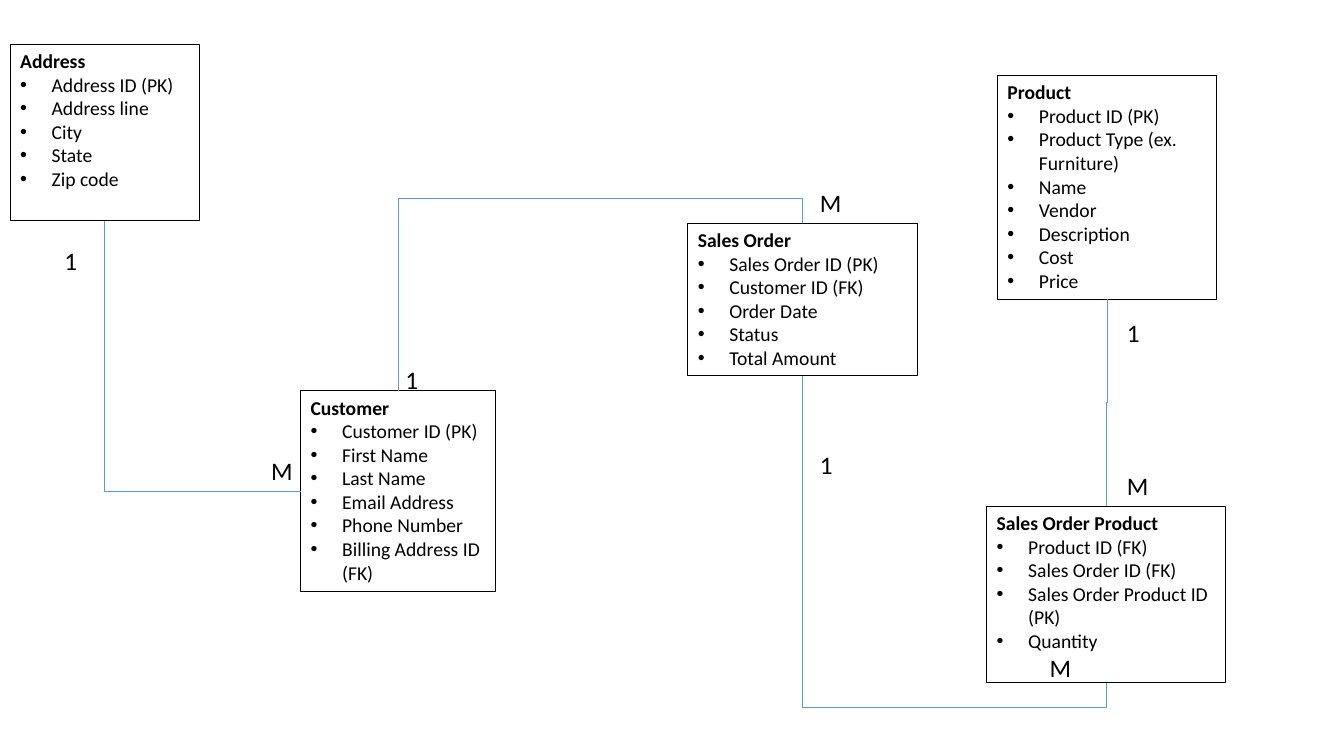
from lxml import etree
from pptx import Presentation
from pptx import util as u
from pptx.dml.color import RGBColor
from pptx.enum import shapes, text
from pptx.oxml.ns import qn

BLACK = RGBColor(0, 0, 0)
BLUE = RGBColor(0x5B, 0x9B, 0xD5)
WIDE, HIGH = u.Inches(13.333), u.Inches(7.5)
TOP, LEFT, BOTTOM = 0, 1, 2

TABLES = {
    "Customer": ((22.37, 51.69, 14.52, 26.53), [
        "Customer ID (PK)", "First Name", "Last Name", "Email Address",
        "Phone Number", "Billing Address ID (FK)"]),
    "Sales Order": ((51.18, 29.53, 17.1, 20.17), [
        "Sales Order ID (PK)", "Customer ID (FK)", "Order Date", "Status",
        "Total Amount"]),
    "Sales Order Product": ((73.42, 66.95, 17.78, 23.33), [
        "Product ID (FK)", "Sales Order ID (FK)",
        "Sales Order Product ID (PK)", "Quantity"]),
    "Product": ((74.22, 9.97, 16.3, 29.6), [
        "Product ID (PK)", "Product Type (ex. Furniture)", "Name", "Vendor",
        "Description", "Cost", "Price"]),
    "Address": ((0.76, 5.85, 14.07, 23.37), [
        "Address ID (PK)", "Address line", "City", "State", "Zip code"]),
}

LINKS = [
    ("Address", BOTTOM, "Customer", LEFT, 270, "H", "bentConnector2", None),
    ("Customer", TOP, "Sales Order", TOP, 90, "HV", "bentConnector3", 1.15),
    ("Sales Order Product", BOTTOM, "Sales Order", BOTTOM, 90, "H",
     "bentConnector3", -0.08),
    ("Product", BOTTOM, "Sales Order Product", TOP, 90, "",
     "bentConnector3", 0.5),
]

MARKS = [
    ("1", 60.26, 58.84), ("M", 19.43, 59.51), ("1", 29.43, 47.47),
    ("1", 4.05, 31.73), ("M", 77.36, 85.6), ("M", 60.26, 24.13),
    ("1", 83.1, 41.33), ("M", 83.1, 61.6),
]


def place(x, y, w, h):
    return [round(share * size / 100)
            for share, size in zip((x, y, w, h), (WIDE, HIGH) * 2)]


def write(para, words, size, bold=False):
    para.text = words
    para.alignment = text.PP_ALIGN.LEFT
    font = para.font
    font.name, font.size, font.bold = "Calibri", u.Pt(size), bold
    font.color.rgb = BLACK


def bullet(para):
    props = para._p.get_or_add_pPr()
    props.set("marL", str(u.Pt(22.5)))
    props.set("indent", str(-u.Pt(22.5)))
    font = etree.Element(qn("a:buFont"), typeface="Arial")
    char = etree.Element(qn("a:buChar"), char="•")
    props.insert(0, font)
    props.insert(1, char)


def draw_table(slide, box, title, fields):
    card = slide.shapes.add_shape(shapes.MSO_SHAPE.RECTANGLE, *place(*box))
    card.shadow.inherit = False
    card.fill.background()
    card.line.color.rgb = BLACK
    card.line.width = u.Pt(0.75)
    frame = card.text_frame
    frame.word_wrap = True
    frame.vertical_anchor = text.MSO_ANCHOR.TOP
    write(frame.paragraphs[0], title, 14, True)
    for field in fields:
        para = frame.add_paragraph()
        write(para, field, 14)
        bullet(para)
    return card


def draw_link(slide, start, exit, end, entry, turn, flips, bend, reach):
    link = slide.shapes.add_connector(shapes.MSO_CONNECTOR.ELBOW, 0, 0, 0, 0)
    link.begin_connect(start, exit)
    link.end_connect(end, entry)
    x1, y1, x2, y2 = link.begin_x, link.begin_y, link.end_x, link.end_y
    wide, high = abs(y2 - y1), abs(x2 - x1)
    link.left, link.top = (x1 + x2 - wide) // 2, (y1 + y2 - high) // 2
    link.width, link.height = wide, high
    link.line.color.rgb = BLUE
    link.line.width = u.Pt(0.5)
    props = link._element.spPr
    frame = props.find(qn("a:xfrm"))
    frame.set("rot", str(turn * 60000))
    for axis in "HV":
        frame.set("flip" + axis, str(int(axis in flips)))
    shape = props.find(qn("a:prstGeom"))
    shape.set("prst", bend)
    if reach is not None:
        etree.SubElement(shape.find(qn("a:avLst")), qn("a:gd"), name="adj1",
                         fmla=f"val {round(reach * 100000)}")
    etree.SubElement(props, qn("a:effectLst"))


def draw_mark(slide, sign, x, y):
    frame = slide.shapes.add_textbox(*place(x, y, 2.4, 5.33)).text_frame
    frame.word_wrap = True
    write(frame.paragraphs[0], sign, 18)


def draw_schema(slide):
    cards = {title: draw_table(slide, box, title, fields)
             for title, (box, fields) in TABLES.items()}
    for start, exit, end, entry, *route in LINKS:
        draw_link(slide, cards[start], exit, cards[end], entry, *route)
    for mark in MARKS:
        draw_mark(slide, *mark)


def main():
    deck = Presentation()
    deck.slide_width, deck.slide_height = WIDE, HIGH
    draw_schema(deck.slides.add_slide(deck.slide_layouts[6]))
    deck.save("out.pptx")


if __name__ == "__main__":
    main()
